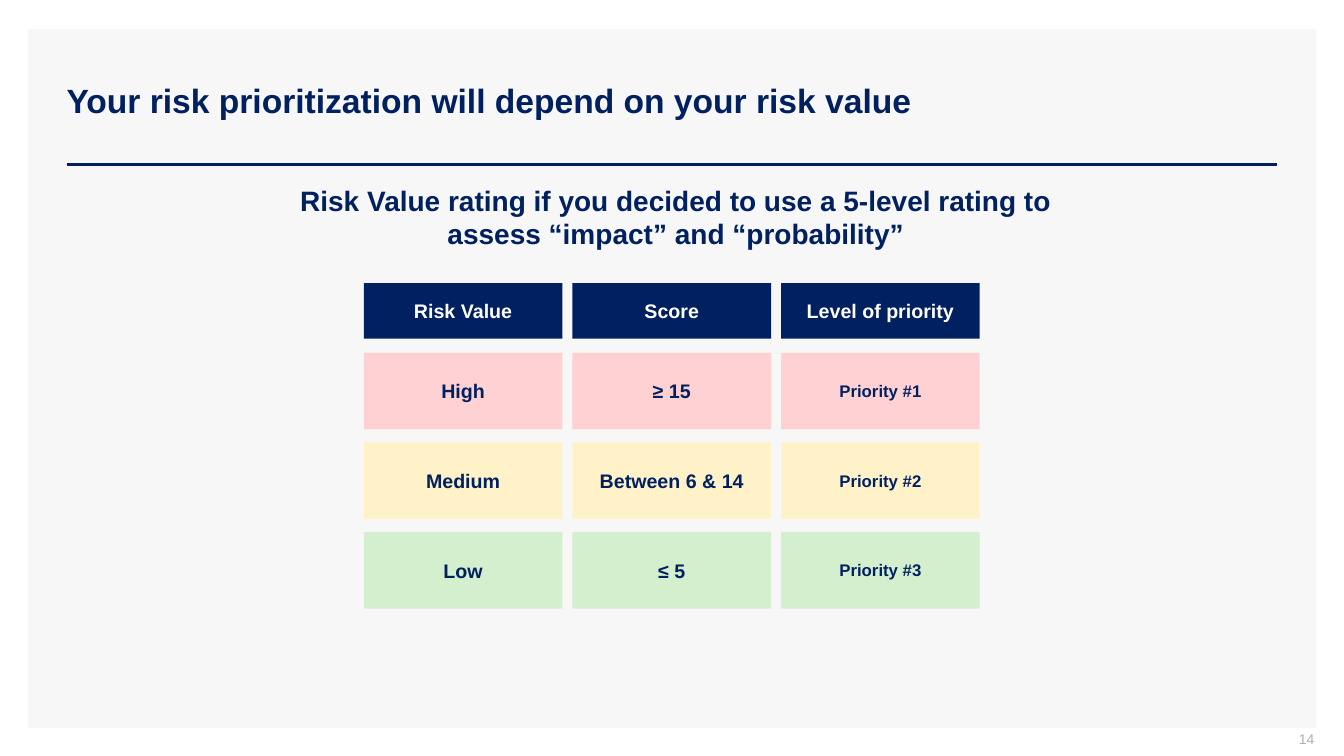
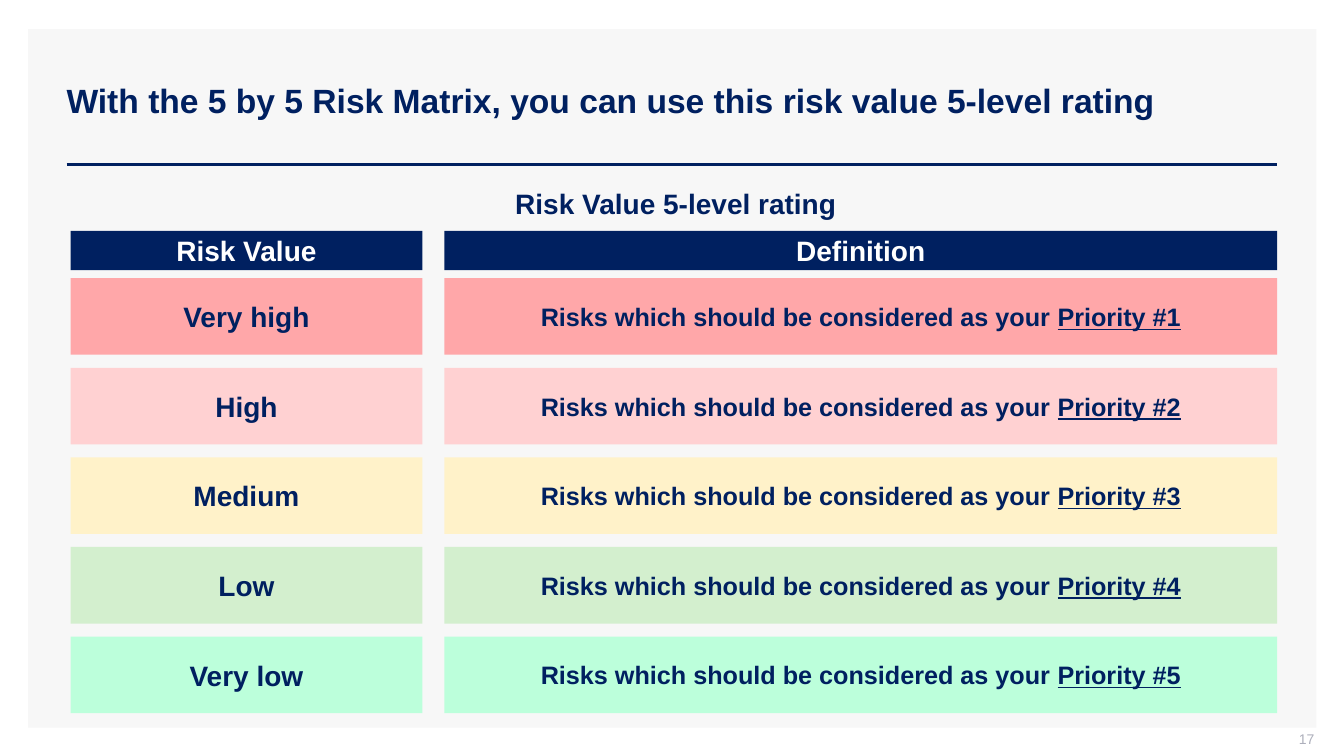
from dataclasses import dataclass

from lxml import etree
from pptx import Presentation
from pptx.dml.color import RGBColor
from pptx.enum.shapes import MSO_CONNECTOR, MSO_SHAPE
from pptx.enum.text import MSO_ANCHOR, MSO_AUTO_SIZE, PP_ALIGN
from pptx.oxml.ns import qn
from pptx.util import Pt

RECTANGLE = MSO_SHAPE.RECTANGLE
STRAIGHT = MSO_CONNECTOR.STRAIGHT
TOP, MIDDLE = MSO_ANCHOR.TOP, MSO_ANCHOR.MIDDLE
LEFT, CENTER, RIGHT = PP_ALIGN.LEFT, PP_ALIGN.CENTER, PP_ALIGN.RIGHT
FIXED_SIZE = MSO_AUTO_SIZE.NONE

FONT = "Arial"
NAVY, WHITE, PANEL, GREY = "002060", "FFFFFF", "F7F7F7", "ADAFBB"
RED, PINK, YELLOW, GREEN, MINT = "FFA7A9", "FFD1D2", "FFF2C9", "D3EFCE", "BCFFDB"
ROW_HEIGHT, ROW_GAP = 54.7, 9.3
HEADING_CENTER = 482.75
TITLE_ONLY = 5


@dataclass(frozen=True)
class Area:
    left: float
    top: float
    width: float
    height: float


@dataclass(frozen=True)
class Span:
    text: str
    size: float
    color: str = NAVY
    bold: bool = True
    underline: bool = False


@dataclass(frozen=True)
class Column:
    header: Span
    width: float
    cells: list[list[Span]]


@dataclass(frozen=True)
class Grid:
    left: float
    column_gap: float
    header_top: float
    header_height: float
    rows_top: float
    row_colors: list[str]
    columns: list[Column]


@dataclass(frozen=True)
class Page:
    title: str
    number: str
    heading: str
    heading_area: Area
    grid: Grid


def paint(target, color: str) -> None:
    target.solid()
    target.fore_color.rgb = RGBColor.from_string(color)


def place(shape, area: Area) -> None:
    shape.left, shape.top = Pt(area.left), Pt(area.top)
    shape.width, shape.height = Pt(area.width), Pt(area.height)


def write(frame, spans: list[Span], align=CENTER, anchor=MIDDLE) -> None:
    frame.word_wrap = True
    frame.auto_size = FIXED_SIZE
    frame.vertical_anchor = anchor
    para = frame.paragraphs[0]
    para.alignment = align
    for span in spans:
        run = para.add_run()
        run.text = span.text
        font = run.font
        font.name, font.size = FONT, Pt(span.size)
        font.bold, font.underline = span.bold, span.underline
        paint(font.fill, span.color)


def add_box(slide, area: Area, color: str):
    box = slide.shapes.add_shape(RECTANGLE, 0, 0, 0, 0)
    place(box, area)
    box.shadow.inherit = False
    paint(box.fill, color)
    box.line.fill.background()
    return box


def add_text(slide, area: Area, span: Span, align, anchor):
    box = slide.shapes.add_textbox(0, 0, 0, 0)
    place(box, area)
    write(box.text_frame, [span], align, anchor)
    return box.text_frame


def add_frame(slide, title: str, number: str) -> None:
    panel = add_box(slide, Area(20.16, 20.88, 920.16, 498.96), PANEL)
    rule = slide.shapes.add_connector(
        STRAIGHT, Pt(47.52), Pt(117.36), Pt(912.24), Pt(117.36)
    )
    paint(rule.line.fill, NAVY)
    rule.line.width = Pt(2)
    etree.SubElement(rule.element.spPr, qn("a:effectLst"))

    holder = slide.shapes.title
    for shape in (panel, rule):
        holder.element.addprevious(shape.element)
    place(holder, Area(40.32, 28.8, 819.36, 85.68))
    write(holder.text_frame, [Span(title, 24)], LEFT)

    footer = add_text(
        slide, Area(722.88, 522, 216, 15.12), Span(number, 10, GREY, False), RIGHT, MIDDLE
    )
    footer.margin_top = footer.margin_right = 0
    footer.margin_bottom = Pt(3.6)


def add_grid(slide, grid: Grid) -> None:
    left = grid.left
    for column in grid.columns:
        header_area = Area(left, grid.header_top, column.width, grid.header_height)
        header = add_box(slide, header_area, NAVY)
        write(header.text_frame, [column.header])
        for row, (color, spans) in enumerate(zip(grid.row_colors, column.cells)):
            top = grid.rows_top + row * (ROW_HEIGHT + ROW_GAP)
            cell = add_box(slide, Area(left, top, column.width, ROW_HEIGHT), color)
            write(cell.text_frame, spans)
        left += column.width + grid.column_gap


def add_page(deck, page: Page) -> None:
    slide = deck.slides.add_slide(deck.slide_layouts[TITLE_ONLY])
    add_frame(slide, page.title, page.number)
    add_text(slide, page.heading_area, Span(page.heading, 20), CENTER, TOP)
    add_grid(slide, page.grid)


def heading_area(top: float, width: float, height: float) -> Area:
    return Area(HEADING_CENTER - width / 2, top, width, height)


def make_column(header: str, width: float, header_size: float,
                cell_size: float, labels: list[str]) -> Column:
    cells = [[Span(label, cell_size)] for label in labels]
    return Column(Span(header, header_size, WHITE), width, cells)


def priority_page() -> Page:
    columns = [
        make_column("Risk Value", 141.84, 14, 14, ["High", "Medium", "Low"]),
        make_column("Score", 141.84, 14, 14, ["≥ 15", "Between 6 & 14", "≤ 5"]),
        make_column("Level of priority", 141.84, 14, 12,
                    [f"Priority #{rank}" for rank in range(1, 4)]),
    ]
    return Page(
        "Your risk prioritization will depend on your risk value",
        "14",
        "Risk Value rating if you decided to use a 5-level rating to "
        "assess “impact” and “probability”",
        heading_area(127.44, 555.12, 55.44),
        Grid(259.92, 7.2, 202.32, 39.6, 252, [PINK, YELLOW, GREEN], columns),
    )


def definition_page() -> Page:
    definitions = [
        [Span("Risks which should be considered as your ", 18),
         Span(f"Priority #{rank}", 18, underline=True)]
        for rank in range(1, 6)
    ]
    columns = [
        make_column("Risk Value", 251.28, 20, 20,
                    ["Very high", "High", "Medium", "Low", "Very low"]),
        Column(Span("Definition", 20, WHITE), 594.72, definitions),
    ]
    return Page(
        "With the 5 by 5 Risk Matrix, you can use this risk value 5-level rating",
        "17",
        "Risk Value 5-level rating",
        heading_area(129.6, 446.4, 31.68),
        Grid(50.4, 15.84, 164.88, 28.08, 198.72,
             [RED, PINK, YELLOW, GREEN, MINT], columns),
    )


def main() -> None:
    deck = Presentation()
    deck.slide_width, deck.slide_height = Pt(960), Pt(540)
    for page in (priority_page(), definition_page()):
        add_page(deck, page)
    deck.save("out.pptx")


if __name__ == "__main__":
    main()
